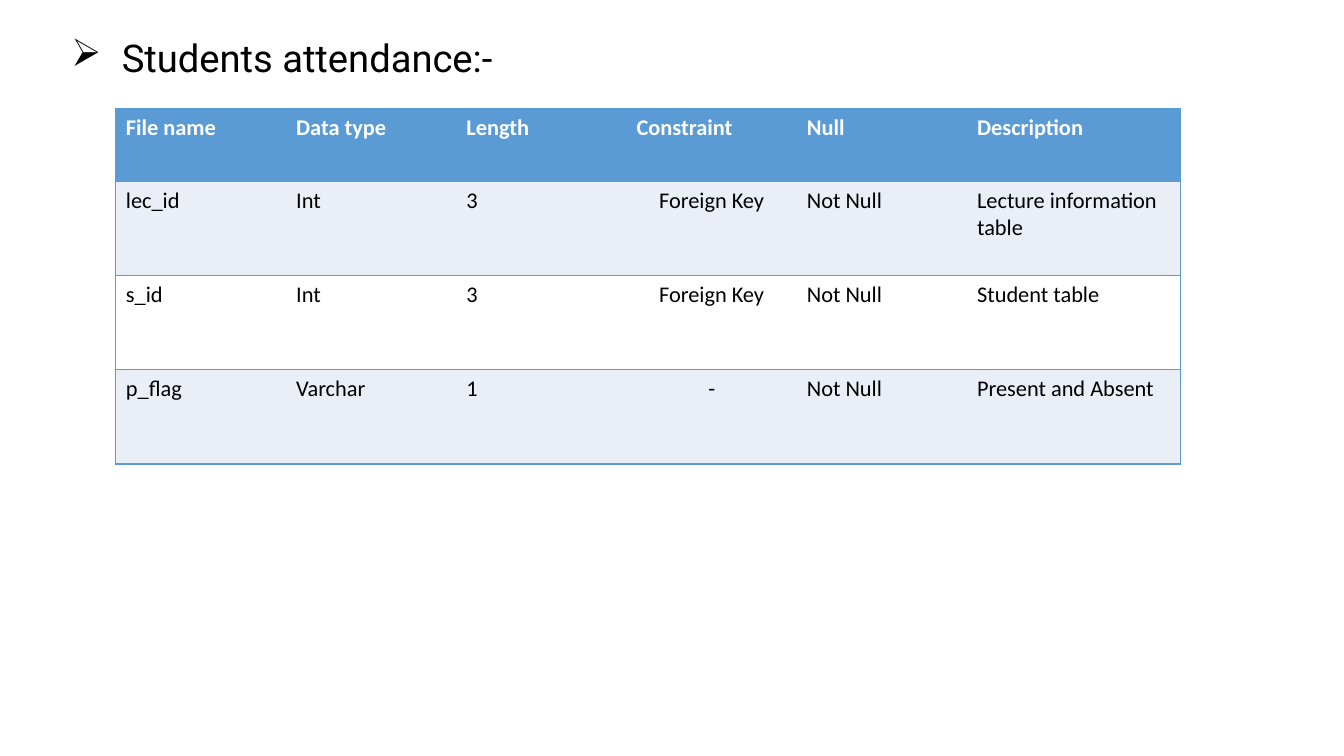
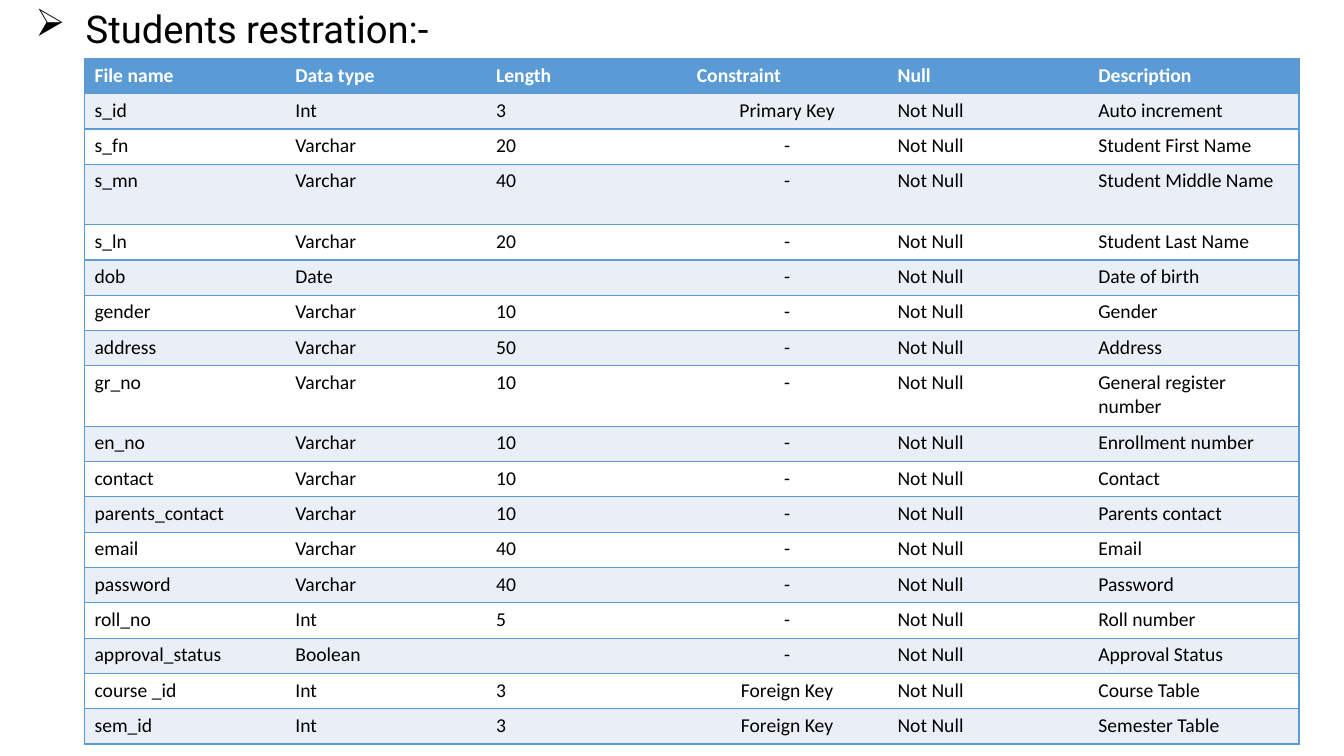
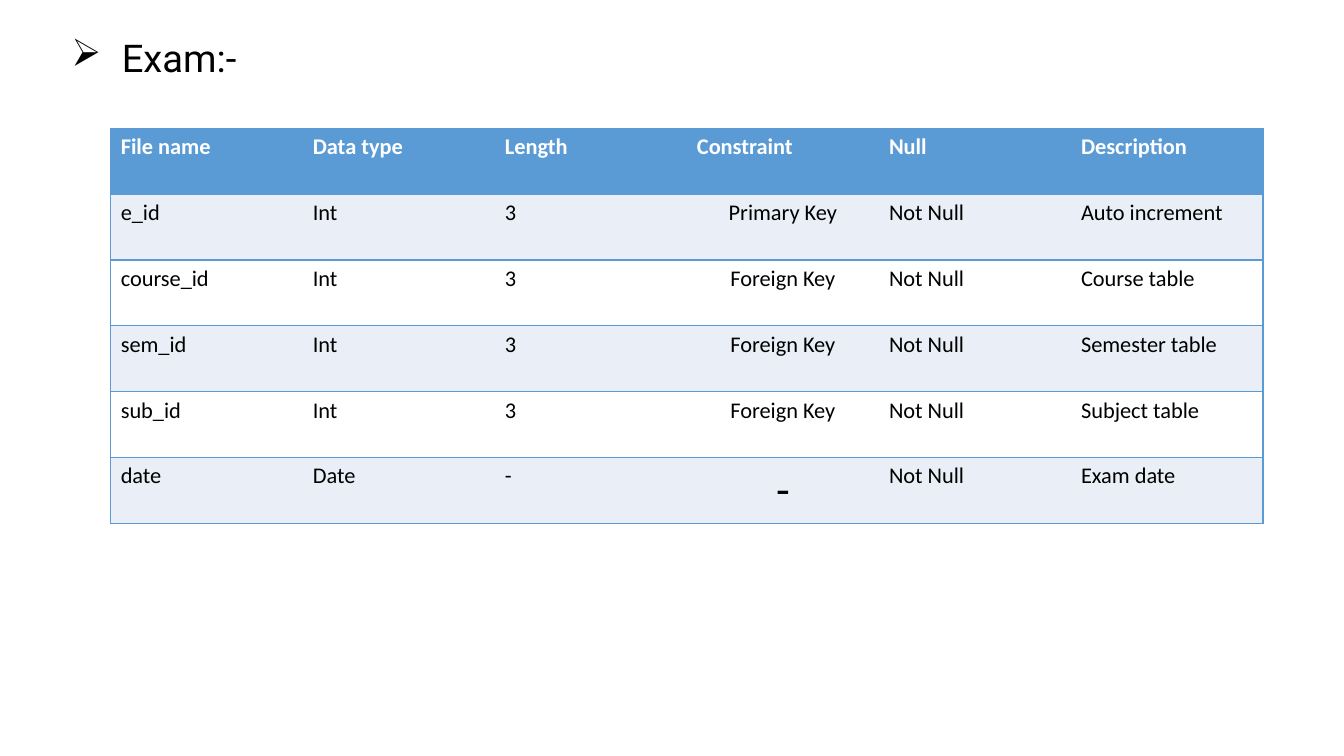
from dataclasses import dataclass
from typing import NamedTuple, Optional

import pptx
import pptx.dml.color
import pptx.enum.text
import pptx.oxml
import pptx.oxml.ns
import pptx.util
from lxml import etree

Cm = pptx.util.Cm
Pt = pptx.util.Pt
qn = pptx.oxml.ns.qn


@dataclass(frozen=True)
class Theme:
    blue: str = "5B9BD5"
    band: str = "EAEFF7"
    white: str = "FFFFFF"
    black: str = "000000"
    title_font: str = "Roboto"
    body_font: str = "Calibri"
    title_size: float = 27.3
    body_size: float = 16
    dense_size: float = 14
    large_size: float = 32
    border: float = 1


THEME = Theme()
NO_STYLE_NO_GRID = "{2D5ABB26-0587-4C30-8999-92F81FD0307C}"
HEADERS = ("File name", "Data type", "Length", "Constraint", "Null", "Description")
CONSTRAINT_COL = HEADERS.index("Constraint")


class Field(NamedTuple):
    name: str
    data_type: str
    length: str
    constraint: str
    description: str
    constraint_size: Optional[float] = None

    def texts(self) -> tuple[str, ...]:
        return (self.name, self.data_type, self.length, self.constraint,
                "Not Null", self.description)


@dataclass(frozen=True)
class TableSlide:
    """One data dictionary slide; lengths are in centimetres."""
    title: str
    title_at: tuple[float, float]
    table_at: tuple[float, float]
    col_width: float
    last_col_width: float
    row_heights: list[float]
    fields: list[Field]
    size: float = THEME.body_size


SLIDES = [
    TableSlide(
        "Students attendance:-", (1.55, 0.94), (2.92, 2.74), 4.29, 5.38,
        [1.84] + [2.37] * 3,
        [
            Field("lec_id", "Int", "3", "Foreign Key", "Lecture information table"),
            Field("s_id", "Int", "3", "Foreign Key", "Student table"),
            Field("p_flag", "Varchar", "1", "-", "Present and Absent"),
        ],
    ),
    TableSlide(
        "Students restration:-", (0.64, 0.2), (2.13, 1.47), 5.06, 5.31,
        [0.89] * 3 + [1.52] + [0.89] * 4 + [1.52] + [0.89] * 9,
        [
            Field("s_id", "Int", "3", "Primary Key", "Auto increment"),
            Field("s_fn", "Varchar", "20", "-", "Student First Name"),
            Field("s_mn", "Varchar", "40", "-", "Student Middle Name"),
            Field("s_ln", "Varchar", "20", "-", "Student Last Name"),
            Field("dob", "Date", "", "-", "Date of birth"),
            Field("gender", "Varchar", "10", "-", "Gender"),
            Field("address", "Varchar", "50", "-", "Address"),
            Field("gr_no", "Varchar", "10", "-", "General register number"),
            Field("en_no", "Varchar", "10", "-", "Enrollment number"),
            Field("contact", "Varchar", "10", "-", "Contact"),
            Field("parents_contact", "Varchar", "10", "-", "Parents contact"),
            Field("email", "Varchar", "40", "-", "Email"),
            Field("password", "Varchar", "40", "-", "Password"),
            Field("roll_no", "Int", "5", "-", "Roll number"),
            Field("approval_status", "Boolean", "", "-", "Approval Status"),
            Field("course _id", "Int", "3", "Foreign Key", "Course Table"),
            Field("sem_id", "Int", "3", "Foreign Key", "Semester Table"),
        ],
        THEME.dense_size,
    ),
    TableSlide(
        "Exam:-", (1.55, 0.94), (2.79, 3.23), 4.84, 4.84,
        [1.66] * 6,
        [
            Field("e_id", "Int", "3", "Primary Key", "Auto increment"),
            Field("course_id", "Int", "3", "Foreign Key", "Course table"),
            Field("sem_id", "Int", "3", "Foreign Key", "Semester table"),
            Field("sub_id", "Int", "3", "Foreign Key", "Subject table"),
            Field("date", "Date", "-", "-", "Exam date", THEME.large_size),
        ],
    ),
]


def rgb(value: str) -> pptx.dml.color.RGBColor:
    return pptx.dml.color.RGBColor.from_string(value)


def write(p, text: str, color: str, **font_values) -> None:
    """Write text as one run; an empty paragraph only keeps its type size."""
    if not text:
        etree.SubElement(p._p, qn("a:endParaRPr"), sz=str(int(font_values["size"].pt * 100)))
        return
    r = p.add_run()
    r.text = text
    for name, value in font_values.items():
        setattr(r.font, name, value)
    r.font.color.rgb = rgb(color)


def add_title(slide, text: str, left: float, top: float) -> None:
    sp = slide.shapes.add_textbox(Cm(left), Cm(top), Cm(29.21), Cm(1.24))
    tf = sp.text_frame
    tf.word_wrap = True
    tf.vertical_anchor = pptx.enum.text.MSO_ANCHOR.MIDDLE
    p = tf.paragraphs[0]
    p.line_spacing = 0.8
    pPr = p._p.get_or_add_pPr()
    pPr.set("marL", str(Cm(1.27)))
    pPr.set("indent", str(-Cm(1.27)))
    etree.SubElement(pPr, qn("a:buChar"), char="➢")
    write(p, text, THEME.black, name=THEME.title_font, size=Pt(THEME.title_size))


def add_borders(cell, sides: str) -> None:
    """Draw the given sides, named in schema order: L, R, T, B."""
    tcPr = cell._tc.get_or_add_tcPr()
    for side in sides:
        ln = etree.SubElement(tcPr, qn(f"a:ln{side}"), w=str(Pt(THEME.border)))
        fill = etree.SubElement(ln, qn("a:solidFill"))
        etree.SubElement(fill, qn("a:srgbClr"), val=THEME.blue)


def add_field_table(slide, spec: TableSlide) -> None:
    widths = [spec.col_width] * (len(HEADERS) - 1) + [spec.last_col_width]
    left, top = spec.table_at
    frame = slide.shapes.add_table(
        len(spec.row_heights), len(widths), Cm(left), Cm(top),
        Cm(sum(widths)), Cm(sum(spec.row_heights)))
    table = frame.table
    table._tbl.tblPr.find(qn("a:tableStyleId")).text = NO_STYLE_NO_GRID
    for column, width in zip(table.columns, widths):
        column.width = Cm(width)
    for row, height in zip(table.rows, spec.row_heights):
        row.height = Cm(height)

    rows = [HEADERS] + [field.texts() for field in spec.fields]
    for i, texts in enumerate(rows):
        is_header = i == 0
        fill = THEME.blue if is_header else THEME.band if i % 2 else THEME.white
        for j, text in enumerate(texts):
            cell = table.cell(i, j)
            add_borders(cell, {0: "LTB", len(texts) - 1: "RTB"}.get(j, "TB"))
            cell.fill.solid()
            cell.fill.fore_color.rgb = rgb(fill)
            p = cell.text_frame.paragraphs[0]
            size = spec.size
            if j == CONSTRAINT_COL and not is_header:
                p.alignment = pptx.enum.text.PP_ALIGN.CENTER
                size = spec.fields[i - 1].constraint_size or size
            write(p, text, THEME.white if is_header else THEME.black,
                  name=THEME.body_font, size=Pt(size), bold=is_header)


def main() -> None:
    prs = pptx.Presentation()
    prs.slide_width, prs.slide_height = Cm(33.87), Cm(19.05)
    blank = prs.slide_layouts[6]
    for spec in SLIDES:
        slide = prs.slides.add_slide(blank)
        add_title(slide, spec.title, *spec.title_at)
        add_field_table(slide, spec)
    prs.save("out.pptx")


if __name__ == "__main__":
    main()
